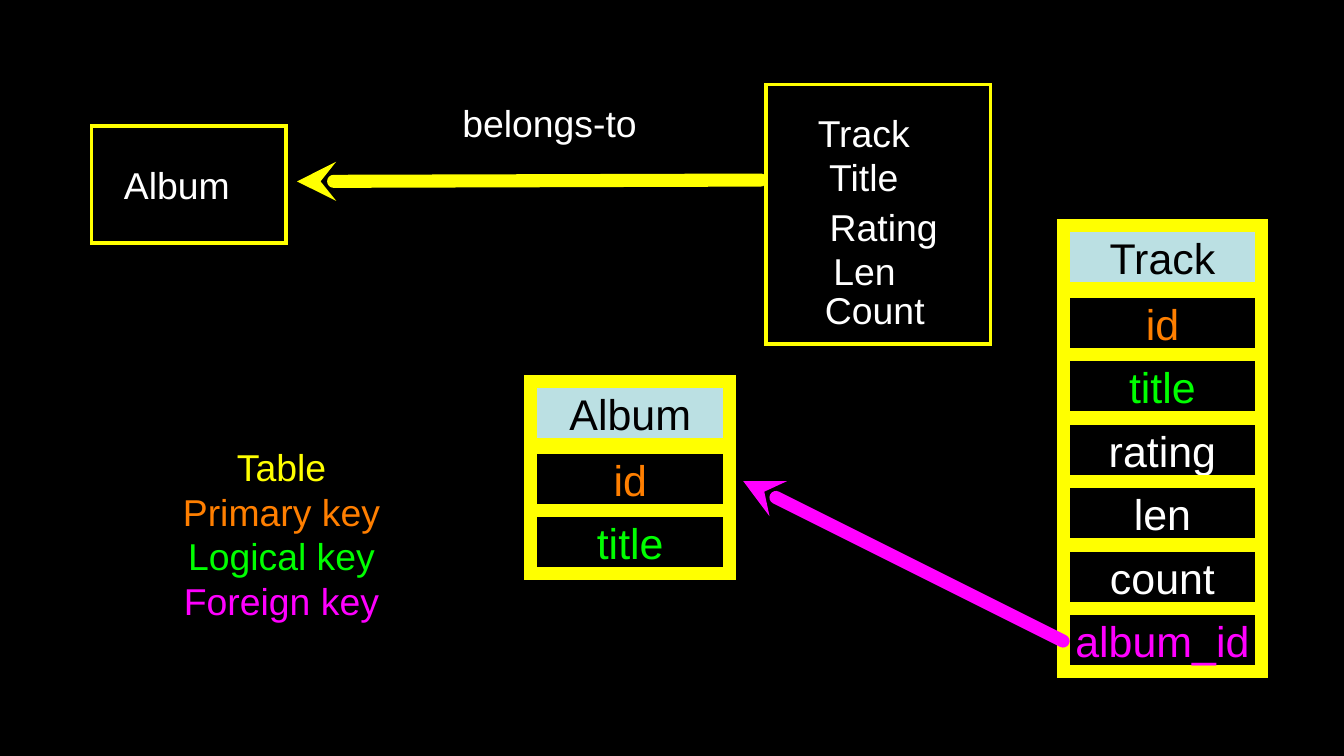
from dataclasses import dataclass

from lxml.etree import SubElement
from pptx import Presentation
from pptx.dml.color import RGBColor
from pptx.enum.shapes import MSO_CONNECTOR, MSO_SHAPE
from pptx.enum.text import MSO_ANCHOR as ANCHOR, PP_ALIGN as ALIGN
from pptx.oxml.ns import qn
from pptx.util import Pt

EMU_PER_PX = 4572  # 200 px to the inch


@dataclass(frozen=True)
class Theme:
    font: str = "Arial"
    label_size: int = 20
    cell_size: int = 23
    thin: int = 2
    thick: int = 7
    background: str = "000000"
    text: str = "FFFFFF"
    header_text: str = "000000"
    header_fill: str = "BBE0E3"
    table: str = "FFFF00"
    primary: str = "FF7F00"
    logical: str = "00FF00"
    foreign: str = "FF00FF"


THEME = Theme()

CELL_W, CELL_H = 296, 94
HEADER_STEP, ROW_STEP = 98, 94.4


def px(n):
    return n * EMU_PER_PX


def rgb(value):
    return RGBColor.from_string(value)


def set_line(sp, color, width):
    sp.line.color.rgb = rgb(color)
    sp.line.width = Pt(width)
    return sp.line._get_or_add_ln()


def write(sp, lines, size, right=0):
    """Fill a shape with centred (text, colour) paragraphs; right is an inset."""
    tf = sp.text_frame
    tf.word_wrap = True
    tf.vertical_anchor = ANCHOR.MIDDLE
    tf.margin_left = tf.margin_top = tf.margin_bottom = 0
    tf.margin_right = px(right)
    for i, (text, color) in enumerate(lines):
        p = tf.add_paragraph() if i else tf.paragraphs[0]
        p.text = text
        p.alignment = ALIGN.CENTER
        p.font.name = THEME.font
        p.font.size = Pt(size)
        p.font.color.rgb = rgb(color)


def add_label(slide, box, lines, right=0):
    sp = slide.shapes.add_textbox(*map(px, box))
    write(sp, lines, THEME.label_size, right)


def add_box(slide, box, width, fill=None):
    """Draw a rectangle with a square-cornered outline."""
    sp = slide.shapes.add_shape(MSO_SHAPE.RECTANGLE, *map(px, box))
    sp.shadow.inherit = False
    if fill:
        sp.fill.solid()
        sp.fill.fore_color.rgb = rgb(fill)
    else:
        sp.fill.background()
    ln = set_line(sp, THEME.table, width)
    SubElement(ln, qn("a:miter"), lim="800000")
    return sp


def add_arrow(slide, tip, tail, color):
    line = slide.shapes.add_connector(MSO_CONNECTOR.STRAIGHT, *map(px, tip + tail))
    ln = set_line(line, color, THEME.thick)
    ln.set("cap", "rnd")
    SubElement(ln, qn("a:headEnd"), type="stealth")
    SubElement(line._element.spPr, qn("a:effectLst"))


def add_schema(slide, left, top, name, columns):
    """Stack a filled header cell and one outlined cell per column."""
    header = add_box(slide, (left, top, CELL_W, CELL_H), THEME.thick, THEME.header_fill)
    write(header, [(name, THEME.header_text)], THEME.cell_size)
    for i, column in enumerate(columns):
        y = top + HEADER_STEP + round(i * ROW_STEP)
        cell = add_box(slide, (left, y, CELL_W, CELL_H), THEME.thick)
        write(cell, [column], THEME.cell_size)


def main():
    prs = Presentation()
    prs.slide_width, prs.slide_height = px(2000), px(1125)
    slide = prs.slides.add_slide(prs.slide_layouts[6])
    slide.background.fill.solid()
    slide.background.fill.fore_color.rgb = rgb(THEME.background)

    add_box(slide, (1140, 126, 334, 386), THEME.thin)
    add_box(slide, (136, 188, 290, 174), THEME.thin)
    add_arrow(slide, (442, 270), (1132, 268), THEME.table)

    keys = [("id", THEME.primary), ("title", THEME.logical)]
    plain = [(name, THEME.text) for name in ("rating", "len", "count")]
    add_schema(slide, 790, 568, "Album", keys)
    add_schema(slide, 1582, 336, "Track", keys + plain + [("album_id", THEME.foreign)])
    add_arrow(slide, (1106, 716), (1582, 954), THEME.foreign)

    add_label(slide, (224, 660, 390, 268), [
        ("Table", THEME.table),
        ("Primary key", THEME.primary),
        ("Logical key", THEME.logical),
        ("Foreign key", THEME.foreign),
    ])
    for text, left, top, width, right in (
        ("Album", 182, 237, 194, 31),
        ("belongs-to", 662, 144, 312, 0),
        ("Track", 1216, 159, 170, 31),
        ("Title", 1226, 225, 150, 31),
        ("Rating", 1216, 299, 198, 0),
        ("Len", 1238, 365, 128, 31),
        ("Count", 1222, 423, 160, 0),
    ):
        add_label(slide, (left, top, width, 76), [(text, THEME.text)], right)

    prs.save("out.pptx")


if __name__ == "__main__":
    main()
